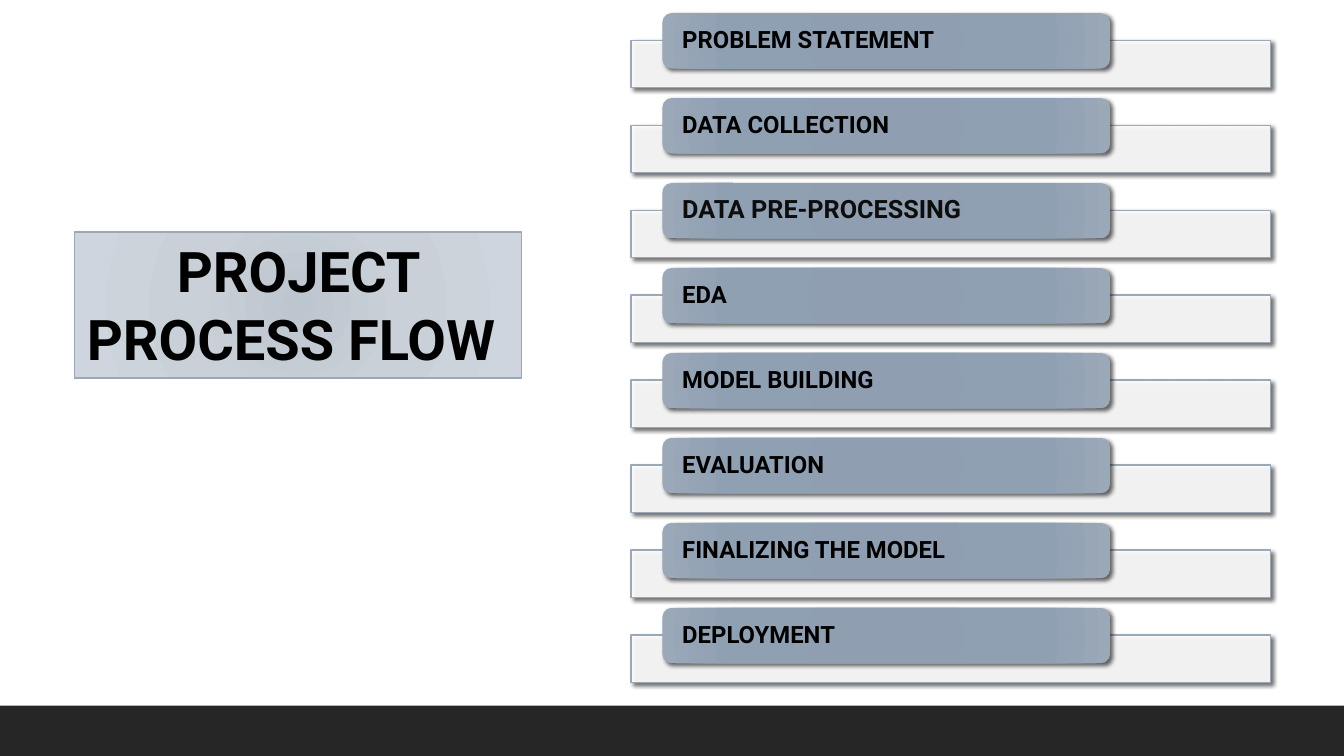
import dataclasses

import lxml.etree
import pptx
import pptx.dml.color
import pptx.enum.shapes
import pptx.enum.text
import pptx.oxml
import pptx.oxml.ns
import pptx.util

Inches = pptx.util.Inches
RGBColor = pptx.dml.color.RGBColor
Shape = pptx.enum.shapes.MSO_SHAPE
Align = pptx.enum.text.PP_ALIGN
Anchor = pptx.enum.text.MSO_ANCHOR
qn = pptx.oxml.ns.qn

BLACK = RGBColor(0x00, 0x00, 0x00)
NEAR_BLACK = RGBColor(0x0D, 0x0D, 0x0D)
WHITE = RGBColor(0xFF, 0xFF, 0xFF)
FOOTER_GREY = RGBColor(0x26, 0x26, 0x26)
OUTLINE = RGBColor(0x9B, 0xA8, 0xB7)

Gradient = list[tuple[int, RGBColor]]
TITLE_GRADIENT: Gradient = [
    (0, RGBColor(0xBD, 0xC5, 0xCE)),
    (45, RGBColor(0xC9, 0xD0, 0xD8)),
    (100, RGBColor(0xCE, 0xD5, 0xDE)),
]
STEP_GRADIENT: Gradient = [
    (0, RGBColor(0x8D, 0x9C, 0xAE)),
    (34, RGBColor(0x8F, 0x9E, 0xB0)),
    (70, RGBColor(0x90, 0xA0, 0xB3)),
    (100, RGBColor(0x9A, 0xA8, 0xB8)),
]

FONT = "Roboto"
FIRST_TOP, LAST_TOP = 0.13, 6.03
BAR_DROP = 0.27


@dataclasses.dataclass
class Step:
    name: str
    size: int = 17
    color: RGBColor = BLACK


STEPS = [
    Step("PROBLEM STATEMENT"),
    Step("DATA COLLECTION"),
    Step("DATA PRE-PROCESSING", 18, NEAR_BLACK),
    Step("EDA"),
    Step("MODEL BUILDING"),
    Step("EVALUATION"),
    Step("FINALIZING THE MODEL"),
    Step("DEPLOYMENT"),
]


def place(shape, left: float, top: float, width: float, height: float) -> None:
    shape.left, shape.top = Inches(left), Inches(top)
    shape.width, shape.height = Inches(width), Inches(height)


def add_box(page, kind, left: float, top: float, width: float, height: float):
    box = page.shapes.add_shape(
        kind, Inches(left), Inches(top), Inches(width), Inches(height))
    box.shadow.inherit = False
    box.line.fill.background()
    return box


def set_outline(shape) -> None:
    shape.line.color.rgb = OUTLINE
    shape.line.width = pptx.util.Pt(1)


def set_solid(shape, color: RGBColor, opacity: int = 100) -> None:
    shape.fill.solid()
    shape.fill.fore_color.rgb = color
    if opacity < 100:
        tone = shape.fill._xPr.find(qn("a:solidFill"))[0]
        lxml.etree.SubElement(tone, qn("a:alpha"), val=str(opacity * 1000))


def set_radial_gradient(shape, gradient: Gradient) -> None:
    """Fill with a circular gradient centred on the bottom right corner."""
    stops = "".join(
        f'<a:gs pos="{position * 1000}"><a:srgbClr val="{color}"/></a:gs>'
        for position, color in gradient)
    shape.fill.background()
    properties = shape._element.spPr
    properties.replace(properties.find(qn("a:noFill")), pptx.oxml.parse_xml(
        f'<a:gradFill {pptx.oxml.ns.nsdecls("a")} rotWithShape="1">'
        f'<a:gsLst>{stops}</a:gsLst><a:path path="circle">'
        '<a:fillToRect l="100000" t="100000" r="100000" b="100000"/>'
        '</a:path></a:gradFill>'))


def add_shadow(shape) -> None:
    effects = shape._element.spPr.find(qn("a:effectLst"))
    effects.append(pptx.oxml.parse_xml(
        f'<a:outerShdw {pptx.oxml.ns.nsdecls("a")} blurRad="{pptx.util.Pt(3)}" '
        f'dist="{pptx.util.Pt(2)}" dir="2700000" algn="ctr" rotWithShape="0">'
        '<a:srgbClr val="000000"><a:alpha val="60000"/></a:srgbClr>'
        '</a:outerShdw>'))


def write(shape, text: str, *, size: int, color: RGBColor, align: Align,
          anchor: Anchor, side: float = 0.1, edge: float = 0.05,
          spacing: float = 1.0) -> None:
    frame = shape.text_frame
    frame.word_wrap = True
    frame.vertical_anchor = anchor
    frame.margin_left = frame.margin_right = Inches(side)
    frame.margin_top = frame.margin_bottom = Inches(edge)
    para = frame.paragraphs[0]
    para.alignment = align
    para.line_spacing = spacing
    span = para.add_run()
    span.text = text
    span.font.name = FONT
    span.font.size = pptx.util.Pt(size)
    span.font.bold = True
    span.font.color.rgb = color


def add_step(page, step: Step, top: float) -> None:
    bar = add_box(page, Shape.RECTANGLE, 6.26, top + BAR_DROP, 6.34, 0.47)
    set_solid(bar, WHITE, opacity=90)
    set_outline(bar)
    add_shadow(bar)

    label = add_box(page, Shape.ROUNDED_RECTANGLE, 6.57, top, 4.44, 0.55)
    set_radial_gradient(label, STEP_GRADIENT)
    add_shadow(label)
    write(label, step.name, size=step.size, color=step.color, align=Align.LEFT,
          anchor=Anchor.MIDDLE, side=0.17, edge=0, spacing=0.9)


def main() -> None:
    deck = pptx.Presentation()
    deck.slide_width, deck.slide_height = Inches(13.33), Inches(7.5)
    page = deck.slides.add_slide(deck.slide_layouts[5])

    # Footer band
    footer = add_box(page, Shape.RECTANGLE, 0, 7, 13.33, 0.5)
    set_solid(footer, FOOTER_GREY)

    # Title
    title = page.shapes.title
    place(title, 0.74, 2.3, 4.43, 1.45)
    set_radial_gradient(title, TITLE_GRADIENT)
    set_outline(title)
    write(title, "PROJECT PROCESS FLOW ", size=40, color=BLACK,
          align=Align.CENTER, anchor=Anchor.TOP)
    title.text_frame.auto_size = pptx.enum.text.MSO_AUTO_SIZE.SHAPE_TO_FIT_TEXT

    # Process steps
    pitch = (LAST_TOP - FIRST_TOP) / (len(STEPS) - 1)
    for index, step in enumerate(STEPS):
        add_step(page, step, FIRST_TOP + index * pitch)

    deck.save("out.pptx")


if __name__ == "__main__":
    main()
